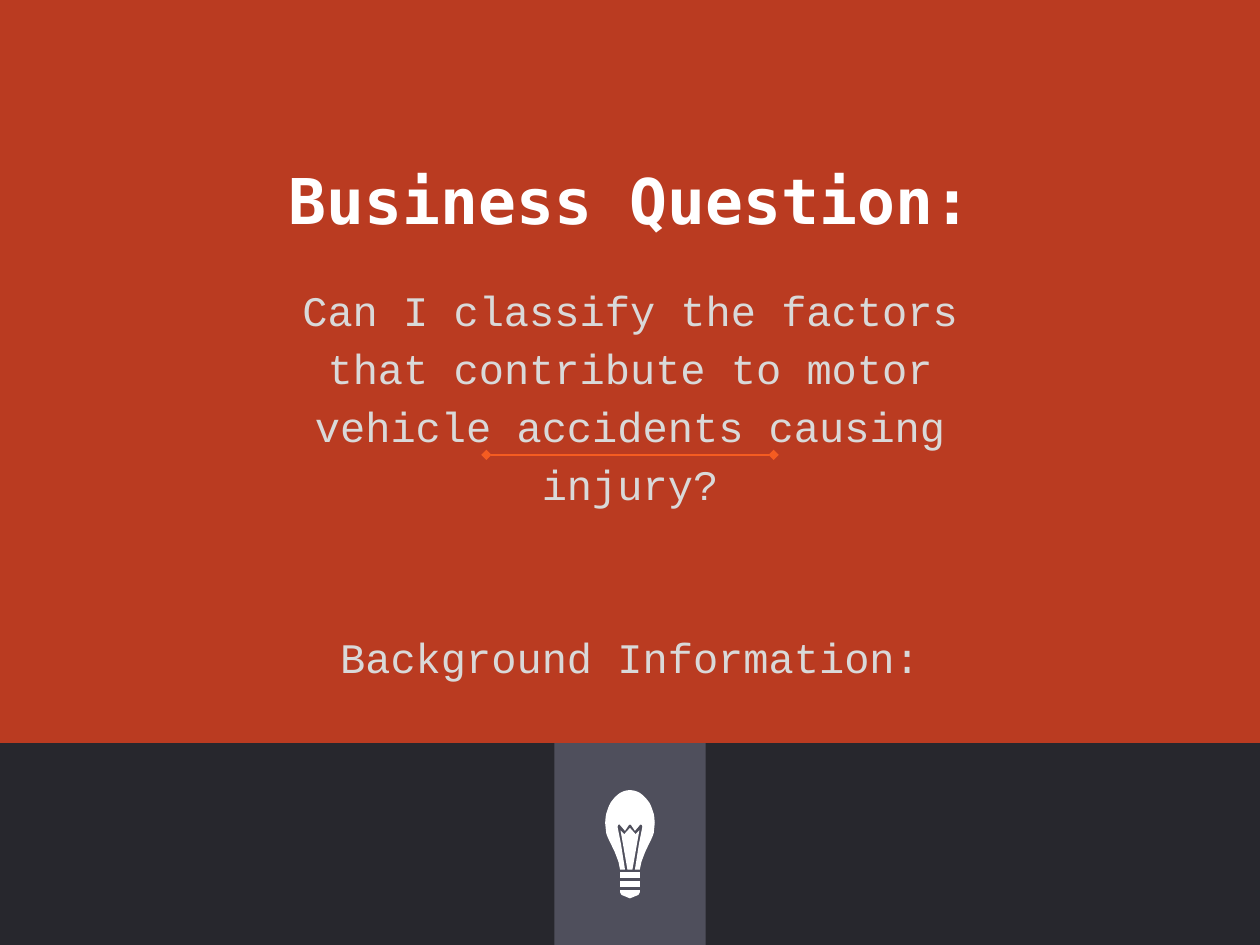
import pptx
import pptx.util
import pptx.dml.color
import pptx.enum.shapes
import pptx.enum.text
import lxml.etree
import pptx.oxml.ns

Cm, Pt = pptx.util.Cm, pptx.util.Pt
ALIGN = pptx.enum.text.PP_ALIGN.CENTER
ANCHOR = pptx.enum.text.MSO_ANCHOR

# Content
TITLE = ["Business Question:"]
BODY = [
    "Can I classify the factors that contribute to motor vehicle accidents causing injury?",
    "Background Information:",
]

THEME = dict(
    bg="BA3B21", band="27272D", tile="4F4F5C", rule="F55C21",
    title="FFFFFF", body="D9D9D9", icon="FFFFFF",
    title_font="DejaVu Sans Mono", body_font="Courier New",
    title_size=36, body_size=24, rule_width=1.5,
)

# Layout in cm
W, H = 25.4, 19.05
BAND_TOP = 14.98
TILE_W = 3.05
TEXT_W = 15.75
RULE_W, RULE_Y = 5.79, 9.17
ICON_TOP = 15.93

# Left halves of the light bulb's parts: mm from its axis, mm below its top
BULB = [
    (0, 0), (0.5, 0.02), (1, 0.13), (1.5, 0.3), (2, 0.55), (2.4, 0.85), (2.8, 1.2),
    (3.2, 1.6), (3.6, 2.1), (3.9, 2.5), (4.2, 3.1), (4.4, 3.6), (4.6, 4.2), (4.8, 4.8),
    (4.9, 5.4), (5, 6.6), (4.9, 7.6), (4.8, 8.6), (4.6, 9.2), (4.3, 9.9), (3.8, 10.9),
    (3.1, 12.4), (2.7, 13.4), (2.3, 14.5), (2, 16), (1, 16), (1.8, 10.9), (2.5, 7.4),
    (2.4, 7), (2.1, 6.9), (1, 8.2), (0.2, 7), (0, 6.9),
]
FILAMENT = [(0, 7.6), (1, 8.7), (1.1, 8.9), (1.3, 8.7), (1.9, 8.1), (0.5, 16)]
SOCKET = [[(2, y), (2, y + 1.2)] for y in (16.5, 18.35)]
TIP = [(2, 20.15), (2, 20.6), (1.7, 21.1), (0, 21.8)]


def rgb(key):
    return pptx.dml.color.RGBColor.from_string(THEME[key])


def paint(sp, key):
    sp.shadow.inherit = False
    sp.fill.solid()
    sp.fill.fore_color.rgb = rgb(key)
    sp.line.fill.background()


def add_bar(s, left, width, key):
    sp = s.shapes.add_shape(pptx.enum.shapes.MSO_SHAPE.RECTANGLE,
                            Cm(left), Cm(BAND_TOP), Cm(width), Cm(H - BAND_TOP))
    paint(sp, key)


def add_text(s, paragraphs, *, top, height, style, bold=False,
             anchor=ANCHOR.TOP, spacing=1.0, gap=0):
    sp = s.shapes.add_textbox(Cm((W - TEXT_W) / 2), Cm(top), Cm(TEXT_W), Cm(height))
    tf = sp.text_frame
    tf.word_wrap = True
    tf.vertical_anchor = anchor
    tf.margin_left = tf.margin_right = tf.margin_top = tf.margin_bottom = Cm(0.25)
    for i, text in enumerate(paragraphs):
        p = tf.add_paragraph() if i else tf.paragraphs[0]
        p.alignment = ALIGN
        p.line_spacing = spacing
        p.space_before = Pt(gap if i else 0)
        r = p.add_run()
        r.text = text
        r.font.name = THEME[style + "_font"]
        r.font.size = Pt(THEME[style + "_size"])
        r.font.bold = bold
        r.font.color.rgb = rgb(style)


def add_rule(s):
    left, right = (W - RULE_W) / 2, (W + RULE_W) / 2
    line = s.shapes.add_connector(pptx.enum.shapes.MSO_CONNECTOR.STRAIGHT,
                                  Cm(left), Cm(RULE_Y), Cm(right), Cm(RULE_Y))
    line.line.color.rgb = rgb("rule")
    line.line.width = Pt(THEME["rule_width"])
    ln = line.line._get_or_add_ln()
    for end in ("a:headEnd", "a:tailEnd"):
        lxml.etree.SubElement(ln, pptx.oxml.ns.qn(end), type="diamond")
    lxml.etree.SubElement(line._element.spPr, pptx.oxml.ns.qn("a:effectLst"))


def add_symmetric(group, half):
    """Draw a closed outline from its left half and the mirror of it."""
    outline = [(-x, y) for x, y in half] + [(x, y) for x, y in reversed(half) if x]
    points = [(Cm(W / 2 + x / 10), Cm(ICON_TOP + y / 10)) for x, y in outline]
    builder = group.shapes.build_freeform(*points[0])
    builder.add_line_segments(points[1:], close=True)
    paint(builder.convert_to_shape(), "icon")


def main():
    prs = pptx.Presentation()
    prs.slide_width, prs.slide_height = Cm(W), Cm(H)
    s = prs.slides.add_slide(prs.slide_layouts[6])
    s.background.fill.solid()
    s.background.fill.fore_color.rgb = rgb("bg")

    # Footer band with its centre tile, and the rule
    add_bar(s, 0, W, "band")
    add_bar(s, (W - TILE_W) / 2, TILE_W, "tile")
    add_rule(s)

    # Title and body
    add_text(s, TITLE, top=0.74, height=4.29, style="title", bold=True,
             anchor=ANCHOR.BOTTOM)
    add_text(s, BODY, top=5.33, height=8.41, style="body", spacing=1.15, gap=66)

    # Light bulb
    group = s.shapes.add_group_shape()
    for half in [*SOCKET, TIP, FILAMENT, BULB]:
        add_symmetric(group, half)

    prs.save("out.pptx")


if __name__ == "__main__":
    main()
